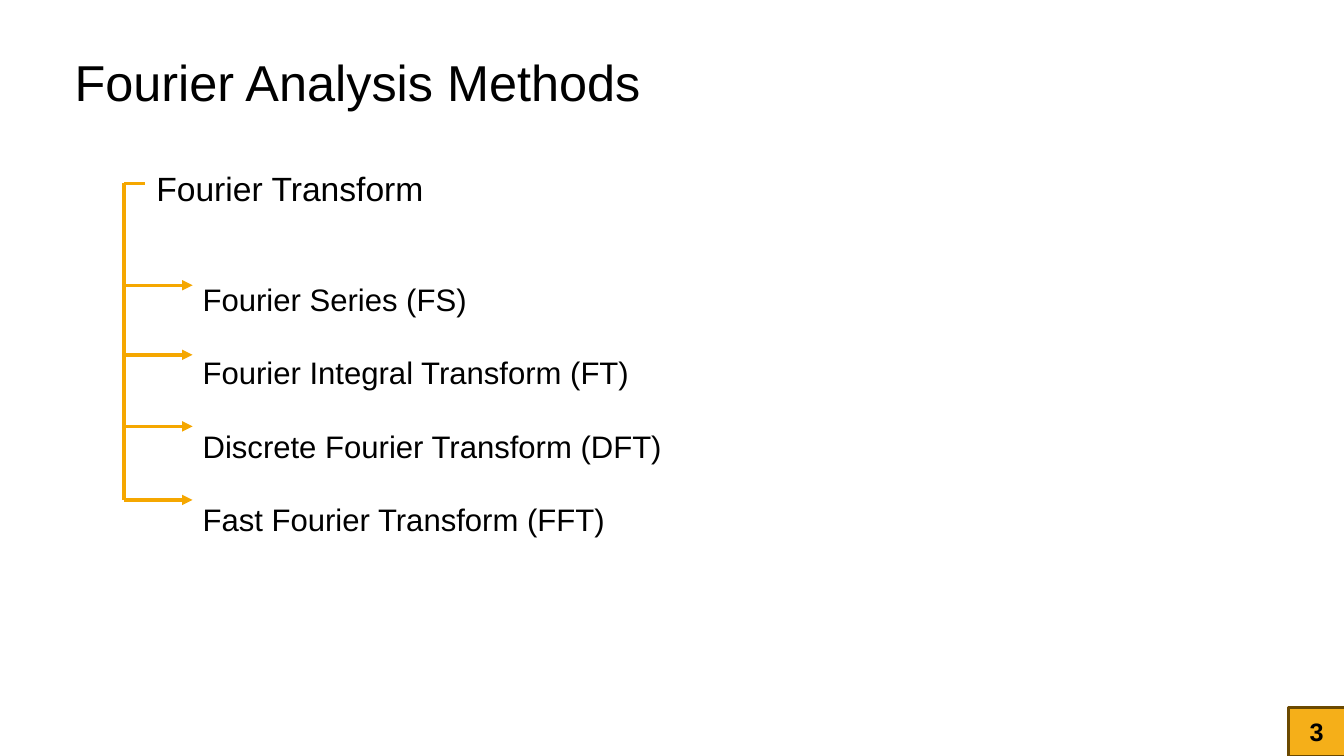
"""Build the slide on Fourier analysis methods."""
from lxml import etree
from pptx import Presentation
from pptx.dml.color import RGBColor
from pptx.enum.shapes import MSO_CONNECTOR, MSO_SHAPE
from pptx.enum.text import MSO_ANCHOR, MSO_AUTO_SIZE, PP_ALIGN
from pptx.oxml.ns import qn
from pptx.util import Inches, Pt

GOLD = RGBColor(0xF5, 0xA7, 0x00)
BROWN = RGBColor(0x6B, 0x49, 0x00)
BLACK = RGBColor(0, 0, 0)
LINE, RECT = MSO_CONNECTOR.STRAIGHT, MSO_SHAPE.RECTANGLE
TOP, MIDDLE, BOTTOM = MSO_ANCHOR.TOP, MSO_ANCHOR.MIDDLE, MSO_ANCHOR.BOTTOM
LEFT, CENTER = PP_ALIGN.LEFT, PP_ALIGN.CENTER
NO_FIT = MSO_AUTO_SIZE.NONE

METHODS = [
    "Fourier Series (FS)",
    "Fourier Integral Transform (FT)",
    "Discrete Fourier Transform (DFT)",
    "Fast Fourier Transform (FFT)",
]
STEM, TIP = 1.23, 1.91
ROOT_Y = 1.82
ARROWS = [2.83, 3.52, 4.23, 4.96]


def write(shape, box, lines, size, anchor, align, spacing, bold=False):
    shape.left, shape.top, shape.width, shape.height = map(Inches, box)
    frame = shape.text_frame
    frame.text = "\n".join(lines)
    frame.word_wrap = True
    frame.auto_size = NO_FIT
    frame.vertical_anchor = anchor
    for para in frame.paragraphs:
        para.alignment = align
        para.line_spacing = spacing
        para.space_before = Pt(0)
        para.font.name = "Arial"
        para.font.size = Pt(size)
        para.font.bold = bold
        para.font.color.rgb = BLACK


def draw(start, end, arrow=False):
    line = slide.shapes.add_connector(LINE, *map(Inches, start + end))
    line.line.color.rgb = GOLD
    line.line.width = Pt(2.5)
    if arrow:
        etree.SubElement(line.line._get_or_add_ln(), qn("a:tailEnd"), type="triangle")
    etree.SubElement(line._element.spPr, qn("a:effectLst"))
    return line


deck = Presentation()
deck.slide_width, deck.slide_height = Inches(13.33), Inches(7.5)
slide = deck.slides.add_slide(deck.slide_layouts[1])

title = slide.shapes.title
write(title, (0.64, 0.33, 8.81, 0.84), ["Fourier Analysis Methods"], 36, BOTTOM, LEFT, 0.9)

badge = slide.shapes.add_shape(RECT, 0, 0, 0, 0)
badge.shadow.inherit = False
badge.fill.solid()
badge.fill.fore_color.rgb = GOLD
tint = badge._element.spPr.find(qn("a:solidFill"))[0]
etree.SubElement(tint, qn("a:alpha"), val="90000")
badge.line.color.rgb = BROWN
badge.line.width = Pt(2)
write(badge, (12.78, 7.02, 0.56, 0.48), ["3"], 18, MIDDLE, CENTER, 1, True)

body = slide.placeholders[1]
write(body, (TIP, 2.37, 8.59, 2.92), METHODS, 22.2, TOP, LEFT, 1.97)
for para in body.text_frame.paragraphs:
    props = para._p.get_or_add_pPr()
    props.set("marL", "0")
    props.set("indent", "0")
    mark = etree.Element(qn("a:buNone"))
    props.find(qn("a:spcBef")).addnext(mark)

root = slide.shapes.add_textbox(0, 0, 0, 0)
write(root, (STEM, 1.52, 3.29, 0.6), ["Fourier Transform"], 24, BOTTOM, CENTER, 0.9)

for end in [(STEM, ARROWS[-1]), (1.44, ROOT_Y)]:
    draw((STEM, ROOT_Y), end).begin_connect(root, 1)
for y in ARROWS:
    draw((STEM, y), (TIP, y), True)

deck.save("out.pptx")
